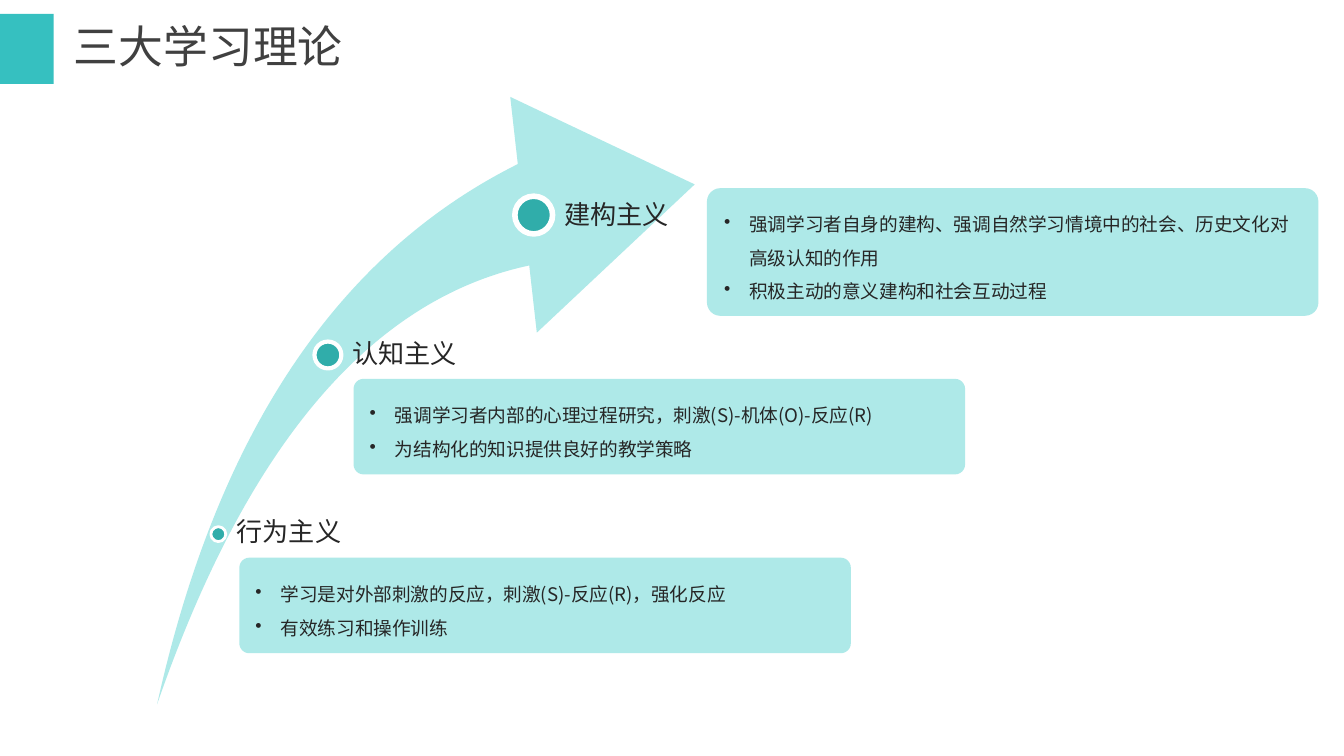
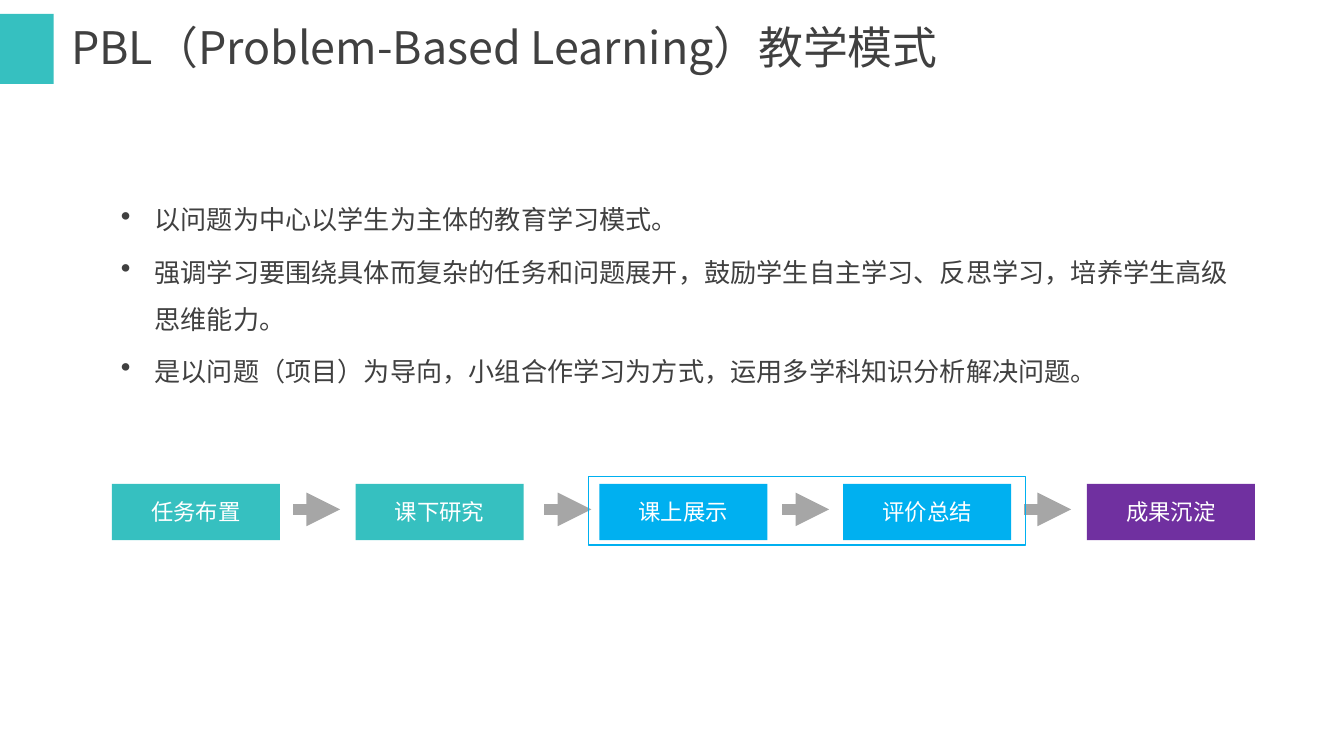
"""Build two slides on learning theories and problem-based teaching."""
from lxml import etree
from pptx import Presentation
from pptx import util as u
from pptx.dml.color import RGBColor
from pptx.enum import shapes, text
from pptx.oxml.ns import qn

FONT = "Noto Sans CJK SC"
TEAL, PALE, DOT = "36C0C0", "AEE9E8", "30ADAA"
BLUE, PURPLE, GREY = "00B0F0", "7030A0", "A6A6A6"
INK, DARK, WHITE = "404040", "262626", "FFFFFF"
SHAPE, MIDDLE = shapes.MSO_SHAPE, text.MSO_ANCHOR.MIDDLE
CENTER = text.PP_ALIGN.CENTER

THEORIES = [
    dict(name="行为主义", dot=(113, 282.2, 8, 1.5),
         label=(122.4, 276.5, 72.7, 18.7), inset=4.3,
         card=(128.2, 298.8, 327.6, 51.2),
         points=["学习是对外部刺激的反应，刺激(S)-反应(R)，强化反应",
                 "有效练习和操作训练"]),
    dict(name="认知主义", dot=(168.5, 183, 14.4, 2.25),
         label=(180.7, 180, 74.9, 20.9), inset=7.9,
         card=(189.4, 203, 327.6, 51.2),
         points=["强调学习者内部的心理过程研究，刺激(S)-机体(O)-反应(R)",
                 "为结构化的知识提供良好的教学策略"]),
    dict(name="建构主义", dot=(275.8, 105.1, 20.2, 3),
         label=(291.6, 105.1, 74.9, 21.6), inset=10.8,
         card=(378.7, 100.8, 327.6, 68.4),
         points=["强调学习者自身的建构、强调自然学习情境中的社会、历史文化对高级认知的作用",
                 "积极主动的意义建构和社会互动过程"]),
]
PBL_POINTS = [
    "以问题为中心以学生为主体的教育学习模式。",
    "强调学习要围绕具体而复杂的任务和问题展开，鼓励学生自主学习、反思学习，培养学生高级思维能力。",
    "是以问题（项目）为导向，小组合作学习为方式，运用多学科知识分析解决问题。",
]
STEPS = [("任务布置", TEAL), ("课下研究", TEAL), ("课上展示", BLUE),
         ("评价总结", BLUE), ("成果沉淀", PURPLE)]
STEP_LEFT, STEP_PITCH, STEP_TOP, STEP_W, STEP_H = 59.9, 130.6, 259.2, 90, 30.2
ARROW_LEFTS, ARROW_Y, ARROW_W = (157, 291.6, 419, 548.6), 272.9, 25.2


def rgb(value):
    return RGBColor.from_string(value)


def pts(values):
    return [u.Pt(v) for v in values]


def add_shape(s, kind, box, fill=None, line=None, width=0.75, adj=()):
    sp = s.shapes.add_shape(kind, *pts(box))
    sp.shadow.inherit = False
    for i, value in enumerate(adj):
        sp.adjustments[i] = value
    if fill:
        sp.fill.solid()
        sp.fill.fore_color.rgb = rgb(fill)
    else:
        sp.fill.background()
    if line:
        sp.line.color.rgb = rgb(line)
        sp.line.width = u.Pt(width)
    else:
        sp.line.fill.background()
    return sp


def write(sp, lines, size, color, insets=(7.2, 3.6, 7.2, 3.6), anchor=None,
          hang=0, bullet_pct=100, before=0, **fmt):
    tf = sp.text_frame
    tf.word_wrap = True
    tf.vertical_anchor = anchor or text.MSO_ANCHOR.TOP
    for side, value in zip(("left", "top", "right", "bottom"), pts(insets)):
        setattr(tf, "margin_" + side, value)
    for i, line in enumerate(lines):
        p = tf.add_paragraph() if i else tf.paragraphs[0]
        if hang:
            pPr = p._p.get_or_add_pPr()
            pPr.set("marL", str(u.Pt(hang)))
            pPr.set("indent", str(-u.Pt(hang)))
            etree.SubElement(pPr, qn("a:buSzPct"), val=str(bullet_pct * 1000))
            etree.SubElement(pPr, qn("a:buChar"), char="•")
        for key, value in {"alignment": text.PP_ALIGN.LEFT, **fmt}.items():
            setattr(p, key, value)
        if i and before:
            p.space_before = u.Pt(before)
        r = p.add_run()
        r.text = line
        for key, value in dict(size=u.Pt(size), name=FONT).items():
            setattr(r.font, key, value)
        r.font.color.rgb = rgb(color)
        etree.SubElement(r._r.get_or_add_rPr(), qn("a:ea"), typeface=FONT)


def add_text(s, box, *args, **fmt):
    write(s.shapes.add_textbox(*pts(box)), *args, **fmt)


def add_arrow(s, left, y, length):
    cx = s.shapes.add_connector(shapes.MSO_CONNECTOR.STRAIGHT,
                                *pts((left, y, left + length, y)))
    cx.line.color.rgb = rgb(GREY)
    cx.line.width = u.Pt(6)
    etree.SubElement(cx.line._get_or_add_ln(), qn("a:tailEnd"), type="triangle")
    etree.SubElement(cx._element.spPr, qn("a:effectLst"))


def new_slide(prs, title, left, top):
    s = prs.slides.add_slide(prs.slide_layouts[6])
    add_shape(s, SHAPE.RECTANGLE, (0, 7.4, 28.8, 37.5), TEAL)
    add_text(s, (left, top, 607, 35.3), [title], 24, INK, (5, 2.2, 5, 2.2))
    return s


def theories_slide(prs):
    s = new_slide(prs, "三大学习理论", 34.6, 7.9)
    add_shape(s, SHAPE.SWOOSH_ARROW, (84.2, 51.9, 288, 325.4), PALE,
              adj=(0.167, 0.329))
    for t in THEORIES:
        x, y, size, ring = t["dot"]
        add_shape(s, SHAPE.OVAL, (x, y, size, size), DOT, WHITE, ring)
        add_text(s, t["label"], [t["name"]], 14, DARK, (t["inset"], 0, 0, 0),
                 MIDDLE, line_spacing=0.9, space_after=u.Pt(4.9))
        card = add_shape(s, SHAPE.ROUNDED_RECTANGLE, t["card"], PALE,
                         adj=(0.105,))
        write(card, t["points"], 10, DARK, anchor=MIDDLE, hang=13.5,
              line_spacing=1.5)


def pbl_slide(prs):
    s = new_slide(prs, "PBL（Problem-Based Learning）教学模式", 33.1, 8.6)
    add_text(s, (58.3, 97.9, 620.6, 123.8), PBL_POINTS, 14, INK,
             (6.5, 2.9, 6.5, 2.9), hang=18, bullet_pct=110, before=2.8,
             line_spacing=1.5)
    for i, (name, fill) in enumerate(STEPS):
        box = (STEP_LEFT + i * STEP_PITCH, STEP_TOP, STEP_W, STEP_H)
        write(add_shape(s, SHAPE.RECTANGLE, box, fill), [name], 12, WHITE,
              anchor=MIDDLE, alignment=CENTER)
    for left in ARROW_LEFTS:
        add_arrow(s, left, ARROW_Y, ARROW_W)
    add_shape(s, SHAPE.RECTANGLE, (315.4, 255.2, 234, 36.7), line=BLUE)


def main():
    prs = Presentation()
    prs.slide_width, prs.slide_height = pts((720, 405))
    theories_slide(prs)
    pbl_slide(prs)
    prs.save("out.pptx")


if __name__ == "__main__":
    main()
